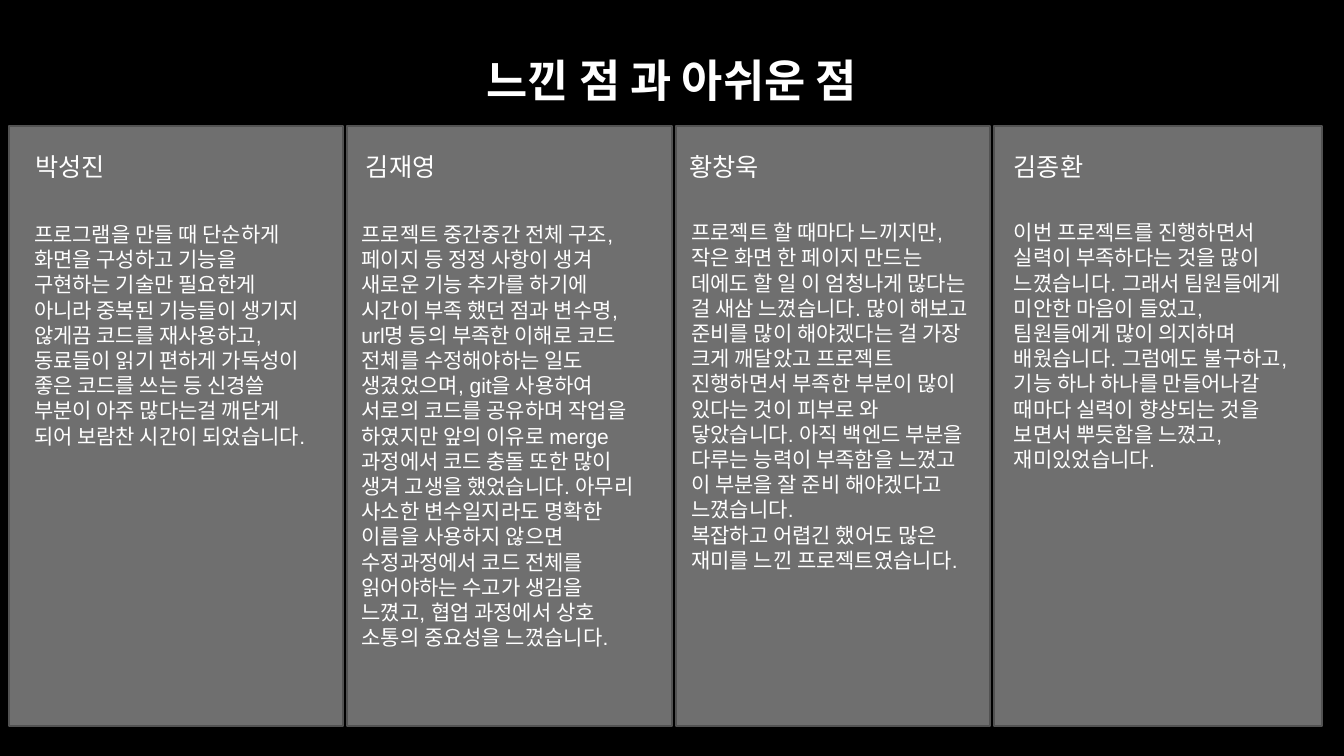
from dataclasses import dataclass

from pptx import Presentation
from pptx.dml.color import RGBColor
from pptx.enum.shapes import MSO_SHAPE
from pptx.enum.text import MSO_ANCHOR, MSO_AUTO_SIZE, PP_ALIGN
from pptx.slide import Slide
from pptx.text.text import TextFrame
from pptx.util import Cm, Pt

BLACK = RGBColor(0x00, 0x00, 0x00)
WHITE = RGBColor(0xFF, 0xFF, 0xFF)
PANEL_GRAY = RGBColor(0x6F, 0x6F, 0x6F)
BORDER_GRAY = RGBColor(0x52, 0x52, 0x52)

HEADING_FONT = "League Spartan"
BODY_FONT = "Arial"

# Shared vertical layout and text box sizes, in centimetres
PANEL_TOP, PANEL_HEIGHT = 3.18, 15.11
NAME_TOP, NAME_WIDTH, NAME_HEIGHT = 3.68, 7.06, 1.02
REVIEW_WIDTH = 7.67


@dataclass
class Member:
    """One team member's column; lengths are in centimetres."""
    name: str
    review: str
    panel_left: float
    panel_width: float
    name_left: float
    review_left: float
    review_top: float
    review_height: float


MEMBERS = [
    Member(
        "박성진",
        "프로그램을 만들 때 단순하게 화면을 구성하고 기능을 구현하는 기술만 필요한게 "
        "아니라 중복된 기능들이 생기지 않게끔 코드를 재사용하고, 동료들이 읽기 편하게 "
        "가독성이 좋은 코드를 쓰는 등 신경쓸 부분이 아주 많다는걸 깨닫게 되어 보람찬 "
        "시간이 되었습니다.",
        0.23, 8.41, 0.64, 0.61, 5.46, 6.02),
    Member(
        "김재영",
        "프로젝트 중간중간 전체 구조, 페이지 등 정정 사항이 생겨 새로운 기능 추가를 하기에 "
        "시간이 부족 했던 점과 변수명, url명 등의 부족한 이해로 코드 전체를 수정해야하는 "
        "일도 생겼었으며, git을 사용하여 서로의 코드를 공유하며 작업을 하였지만 앞의 이유로 "
        "merge과정에서 코드 충돌 또한 많이 생겨 고생을 했었습니다. 아무리 사소한 "
        "변수일지라도 명확한 이름을 사용하지 않으면 수정과정에서 코드 전체를 읽어야하는 "
        "수고가 생김을 느꼈고, 협업 과정에서 상호 소통의 중요성을 느꼈습니다.",
        8.74, 8.2, 8.97, 8.86, 5.46, 11.15),
    Member(
        "황창욱",
        "프로젝트 할 때마다 느끼지만, 작은 화면 한 페이지 만드는 데에도 할 일 이 엄청나게 "
        "많다는 걸 새삼 느꼈습니다. 많이 해보고 준비를 많이 해야겠다는 걸 가장 크게 "
        "깨달았고 프로젝트 진행하면서 부족한 부분이 많이 있다는 것이 피부로 와 닿았습니다. "
        "아직 백엔드 부분을 다루는 능력이 부족함을 느꼈고 이 부분을 잘 준비 해야겠다고 "
        "느꼈습니다.\n"
        "복잡하고 어렵긴 했어도 많은 재미를 느낀 프로젝트였습니다.",
        17.04, 7.9, 17.12, 17.17, 5.41, 9.88),
    Member(
        "김종환",
        "이번 프로젝트를 진행하면서 실력이 부족하다는 것을 많이 느꼈습니다. 그래서 "
        "팀원들에게 미안한 마음이 들었고, 팀원들에게 많이 의지하며 배웠습니다. 그럼에도 "
        "불구하고, 기능 하나 하나를 만들어나갈 때마다 실력이 향상되는 것을 보면서 "
        "뿌듯함을 느꼈고, 재미있었습니다.",
        25.04, 8.28, 25.3, 25.3, 5.41, 6.68),
]


def write_text(frame: TextFrame, text: str, font: str, size: float,
               bold: bool = False) -> None:
    frame.word_wrap = True
    frame.text = text
    for para in frame.paragraphs:
        for span in para.runs:
            span.font.name = font
            span.font.size = Pt(size)
            span.font.bold = bold
            span.font.color.rgb = WHITE


def add_title(page: Slide, text: str) -> None:
    title = page.shapes.title
    title.left, title.top = Cm(3.18), Cm(0)
    title.width, title.height = Cm(27.51), Cm(5.28)
    frame = title.text_frame
    write_text(frame, text, HEADING_FONT, 32, bold=True)
    frame.auto_size = MSO_AUTO_SIZE.NONE
    frame.vertical_anchor = MSO_ANCHOR.MIDDLE
    frame.margin_bottom = Cm(1.4)
    frame.paragraphs[0].alignment = PP_ALIGN.CENTER


def add_panel(page: Slide, left: float, width: float) -> None:
    panel = page.shapes.add_shape(MSO_SHAPE.RECTANGLE, Cm(left), Cm(PANEL_TOP),
                                  Cm(width), Cm(PANEL_HEIGHT))
    panel.shadow.inherit = False
    panel.fill.solid()
    panel.fill.fore_color.rgb = PANEL_GRAY
    panel.line.color.rgb = BORDER_GRAY
    panel.line.width = Pt(1.5)


def add_text_box(page: Slide, left: float, top: float, width: float, height: float,
                 text: str, font: str, size: float) -> None:
    box = page.shapes.add_textbox(Cm(left), Cm(top), Cm(width), Cm(height))
    write_text(box.text_frame, text, font, size)
    box.text_frame.auto_size = MSO_AUTO_SIZE.SHAPE_TO_FIT_TEXT


def add_member(page: Slide, member: Member) -> None:
    add_panel(page, member.panel_left, member.panel_width)
    add_text_box(page, member.name_left, NAME_TOP, NAME_WIDTH, NAME_HEIGHT,
                 member.name, HEADING_FONT, 18)
    add_text_box(page, member.review_left, member.review_top, REVIEW_WIDTH,
                 member.review_height, member.review, BODY_FONT, 15)


def main() -> None:
    deck = Presentation()
    deck.slide_width, deck.slide_height = Cm(33.87), Cm(19.05)

    # Black page with the template's title
    page = deck.slides.add_slide(deck.slide_layouts.get_by_name("Title Only"))
    page.background.fill.solid()
    page.background.fill.fore_color.rgb = BLACK
    add_title(page, "느낀 점 과 아쉬운 점")

    # One column per team member
    for member in MEMBERS:
        add_member(page, member)

    deck.save("out.pptx")


if __name__ == "__main__":
    main()
